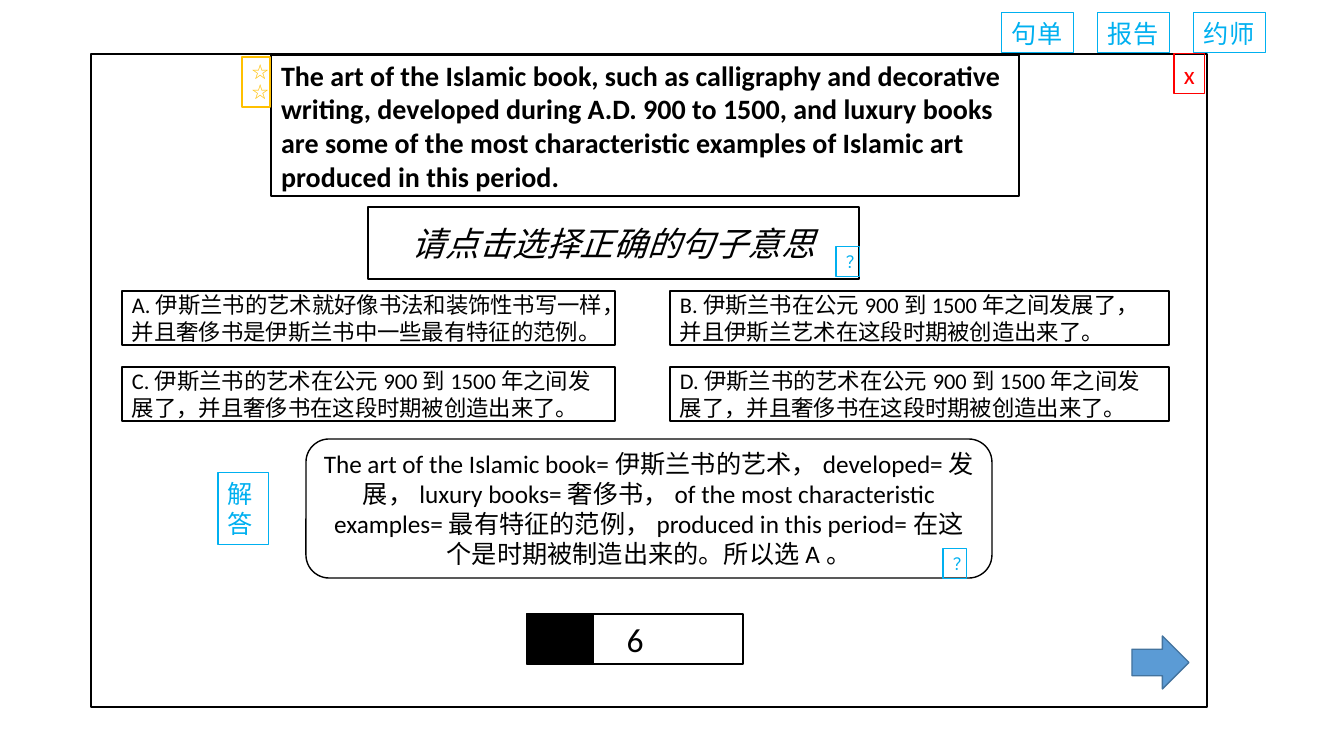
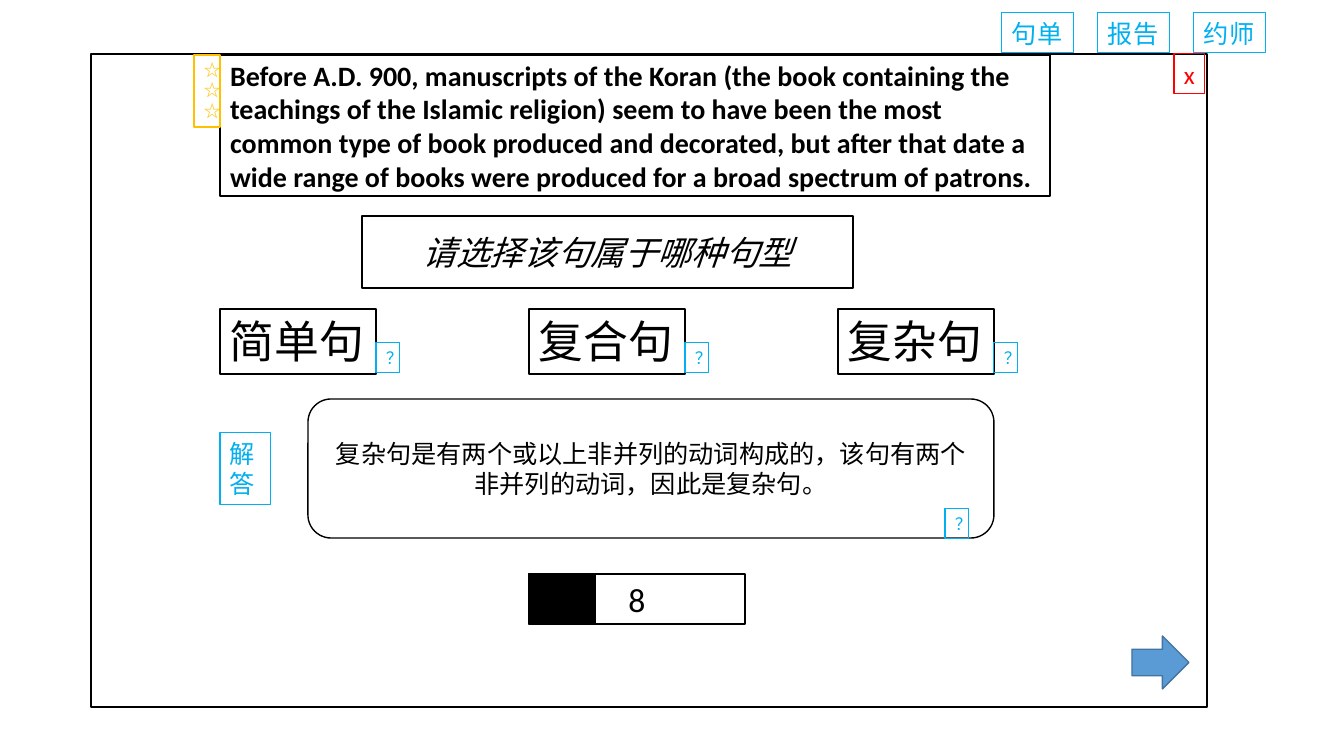
from dataclasses import dataclass, replace
from typing import NamedTuple

from lxml.etree import SubElement
from pptx import Presentation
from pptx.dml.color import RGBColor
from pptx.enum.shapes import MSO_SHAPE as Shape
from pptx.enum.text import MSO_ANCHOR as Anchor, MSO_AUTO_SIZE as AutoSize, PP_ALIGN as Align
from pptx.oxml.ns import qn
from pptx.util import Emu, Pt

EMU_PER_PX = 914400 / 100.8
COLORS = {
    "ink": "000000", "paper": "FFFFFF", "link": "00B0F0", "close": "FF0000",
    "star": "FFC000", "arrow": "5B9BD5", "arrow_edge": "43739E",
}
LATIN_FONT, CJK_FONT = "Calibri", "Noto Sans CJK SC"


class Box(NamedTuple):
    left: int
    top: int
    width: int
    height: int


@dataclass(frozen=True)
class Style:
    """How a box looks; a growing box is top-anchored, a fixed one is centred."""
    size: int = 18
    color: str = "ink"
    fill: str | None = "paper"
    line: str = "ink"
    weight: float = 1
    align: Align = Align.LEFT
    bold: bool = False
    italic: bool = False
    grow: bool = False
    wrap: bool = True
    font: str = LATIN_FONT


LINK = Style(color="link", fill=None, line="link", weight=0.75, grow=True)
TAB = replace(LINK, wrap=False)
CLOSE = replace(TAB, color="close", line="close")
BADGE = replace(LINK, size=12)
SENTENCE = Style(size=20, bold=True)
STARS = Style(size=12, color="star", line="star", align=Align.CENTER, grow=True, font=CJK_FONT)
PROMPT = Style(size=24, align=Align.CENTER, italic=True)
CHOICE = Style(size=16)
SENTENCE_TYPE = Style(size=32, grow=True, wrap=False)
SOLUTION = Style(align=Align.CENTER)
COUNTER = Style(size=24, align=Align.CENTER, grow=True)
PROGRESS = Style(fill="ink")
NEXT = Style(fill="arrow", line="arrow_edge")

TABS = ("句单", "报告", "约师")
TAB_BOX, TAB_PITCH = Box(1002, 13, 72, 40), 96


@dataclass(frozen=True)
class Exercise:
    sentence: str
    sentence_box: Box
    stars: int
    stars_box: Box
    prompt: str
    prompt_at: tuple[int, int]
    solution: str
    solution_at: tuple[int, int]
    number: str


MEANING = Exercise(
    "The art of the Islamic book, such as calligraphy and decorative writing, developed "
    "during A.D. 900 to 1500, and luxury books are some of the most characteristic "
    "examples of Islamic art produced in this period.",
    Box(271, 55, 748, 141), 2, Box(242, 57, 28, 50),
    "请点击选择正确的句子意思", (368, 207),
    "The art of the Islamic book=伊斯兰书的艺术，developed=发展，luxury books=奢侈书，"
    "of the most characteristic examples=最有特征的范例，"
    "produced in this period=在这个是时期被制造出来的。所以选A。",
    (306, 439), "6",
)
PATTERN = Exercise(
    "Before A.D. 900, manuscripts of the Koran (the book containing the teachings of the "
    "Islamic religion) seem to have been the most common type of book produced and "
    "decorated, but after that date a wide range of books were produced for a broad "
    "spectrum of patrons.",
    Box(220, 55, 830, 141), 3, Box(194, 55, 26, 72),
    "请选择该句属于哪种句型", (362, 216),
    "复杂句是有两个或以上非并列的动词构成的，该句有两个非并列的动词，因此是复杂句。",
    (308, 399), "8",
)
CHOICES = (
    "A.伊斯兰书的艺术就好像书法和装饰性书写一样，并且奢侈书是伊斯兰书中一些最有特征的范例。",
    "B.伊斯兰书在公元900到1500年之间发展了，并且伊斯兰艺术在这段时期被创造出来了。",
    "C.伊斯兰书的艺术在公元900到1500年之间发展了，并且奢侈书在这段时期被创造出来了。",
    "D.伊斯兰书的艺术在公元900到1500年之间发展了，并且奢侈书在这段时期被创造出来了。",
)
CHOICE_COLUMNS = ((122, 493), (670, 499))
SENTENCE_TYPES = ("简单句", "复合句", "复杂句")


def px(length: int) -> Emu:
    return Emu(round(length * EMU_PER_PX))


def rgb(name: str) -> RGBColor:
    return RGBColor.from_string(COLORS[name])


def write(frame, text: str, style: Style) -> None:
    frame.text = text
    settings = {
        "word_wrap": style.wrap,
        "auto_size": AutoSize.SHAPE_TO_FIT_TEXT if style.grow else AutoSize.NONE,
        "vertical_anchor": Anchor.TOP if style.grow else Anchor.MIDDLE,
    }
    for key, value in settings.items():
        setattr(frame, key, value)
    letters = {"size": Pt(style.size), "bold": style.bold, "italic": style.italic,
               "name": style.font}
    for paragraph in frame.paragraphs:
        paragraph.alignment = style.align
        for run in paragraph.runs:
            run.font.color.rgb = rgb(style.color)
            for key, value in letters.items():
                setattr(run.font, key, value)
            SubElement(run.font._element, qn("a:ea"), typeface=CJK_FONT)


def dress(shape, box: Box, style: Style, text: str = "") -> None:
    """Place a shape or placeholder and give it its style and text."""
    for key, value in box._asdict().items():
        setattr(shape, key, px(value))
    if style.fill:
        shape.fill.solid()
        shape.fill.fore_color.rgb = rgb(style.fill)
    else:
        shape.fill.background()
    shape.line.color.rgb = rgb(style.line)
    shape.line.width = Pt(style.weight)
    if text:
        write(shape.text_frame, text, style)


def add_box(slide, box: Box, style: Style, text: str = "", kind: Shape = Shape.RECTANGLE) -> None:
    shape = slide.shapes.add_shape(kind, *map(px, box))
    shape.shadow.inherit = False
    dress(shape, box, style, text)


def add_badge(slide, left: int, top: int) -> None:
    add_box(slide, Box(left, top, 24, 30), BADGE, "？")


def add_window(slide) -> None:
    """Draw the tabs, frame and buttons that every exercise has."""
    for index, tab in enumerate(TABS):
        add_box(slide, TAB_BOX._replace(left=TAB_BOX.left + index * TAB_PITCH), TAB, tab)
    add_box(slide, Box(91, 54, 1116, 653), Style())
    add_box(slide, Box(1174, 54, 31, 40), CLOSE, "x")
    add_box(slide, Box(1132, 636, 57, 53), NEXT, kind=Shape.RIGHT_ARROW)


def add_solution(slide, exercise: Exercise) -> None:
    left, top = exercise.solution_at
    add_box(slide, Box(left - 88, top + 34, 51, 72), LINK, "解\n答")
    add_box(slide, Box(left, top, 686, 139), SOLUTION, exercise.solution, Shape.ROUNDED_RECTANGLE)
    add_badge(slide, left + 637, top + 110)
    add_box(slide, Box(left + 221, top + 175, 216, 50), COUNTER, exercise.number)
    add_box(slide, Box(left + 221, top + 175, 66, 50), PROGRESS)


def add_exercise(deck, exercise: Exercise):
    slide = deck.slides.add_slide(deck.slide_layouts[5])
    add_window(slide)
    sentence = slide.shapes.title
    dress(sentence, exercise.sentence_box, SENTENCE, exercise.sentence)
    sentence._element.getparent().append(sentence._element)  # in front of the frame
    add_box(slide, exercise.stars_box, STARS, "☆" * exercise.stars)
    add_box(slide, Box(*exercise.prompt_at, 491, 72), PROMPT, exercise.prompt)
    add_solution(slide, exercise)
    return slide


def add_meaning_choices(slide) -> None:
    add_badge(slide, 836, 247)
    for index, choice in enumerate(CHOICES):
        row, column = divmod(index, 2)
        left, width = CHOICE_COLUMNS[column]
        add_box(slide, Box(left, 291 + row * 76, width, 54), CHOICE, choice)


def add_sentence_types(slide) -> None:
    for index, sentence_type in enumerate(SENTENCE_TYPES):
        button = Box(220 + index * 309, 309, 156, 65)
        add_box(slide, button, SENTENCE_TYPE, sentence_type)
        add_badge(slide, button.left + button.width, 343)


def main() -> None:
    deck = Presentation()
    deck.slide_width, deck.slide_height = px(1344), px(756)
    add_meaning_choices(add_exercise(deck, MEANING))
    add_sentence_types(add_exercise(deck, PATTERN))
    deck.save("out.pptx")


if __name__ == "__main__":
    main()
